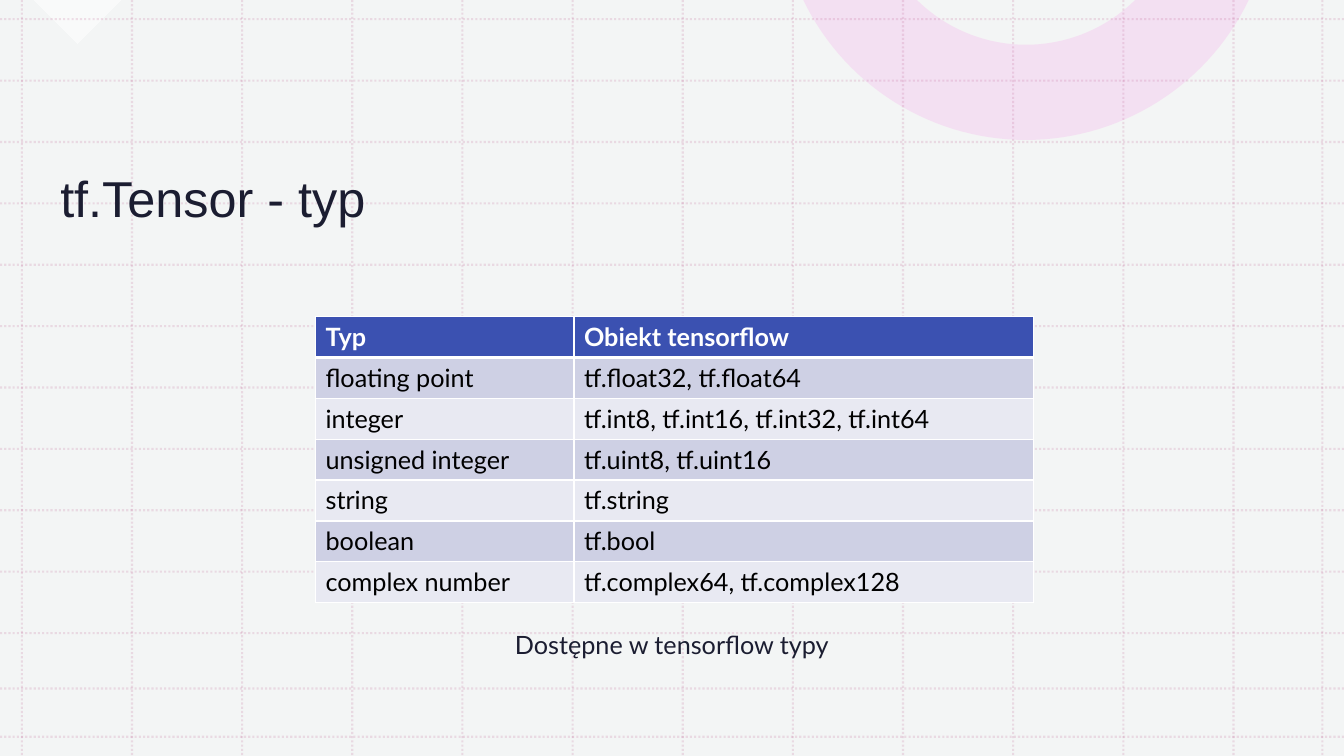
import math

import pptx
import pptx.dml.color
import pptx.enum.dml
import pptx.enum.shapes
import pptx.enum.text
import pptx.oxml
import pptx.oxml.ns
import pptx.util

Pt = pptx.util.Pt
RGB = pptx.dml.color.RGBColor
qn = pptx.oxml.ns.qn

SLIDE_WIDTH, SLIDE_HEIGHT = 960, 540
PAPER = RGB(0xF3, 0xF5, 0xF5)
WHITE = RGB(0xFF, 0xFF, 0xFF)
BLACK = RGB(0x00, 0x00, 0x00)
INK = RGB(0x1B, 0x1D, 0x31)
GRID_PINK = RGB(0xB1, 0x3B, 0x79)
RING_PINK = RGB(0xF3, 0xDB, 0xF2)
HEADER_BLUE = RGB(0x3B, 0x51, 0xB1)
BANDS = [RGB(0xCE, 0xD0, 0xE4), RGB(0xE8, 0xE9, 0xF2)]

TENSOR_TYPES = [
    ("Typ", "Obiekt tensorflow"),
    ("floating point", "tf.float32, tf.float64"),
    ("integer", "tf.int8, tf.int16, tf.int32, tf.int64"),
    ("unsigned integer", "tf.uint8, tf.uint16"),
    ("string", "tf.string"),
    ("boolean", "tf.bool"),
    ("complex number", "tf.complex64, tf.complex128"),
]


def set_opacity(shape, percent):
    for color in shape.element.spPr.iter(qn("a:srgbClr")):
        alpha = color.makeelement(qn("a:alpha"), {"val": str(percent * 1000)})
        color.append(alpha)


def style_ornament(shape, color, percent):
    shape.shadow.inherit = False
    shape.fill.solid()
    shape.fill.fore_color.rgb = color
    shape.line.fill.background()
    set_opacity(shape, percent)


def add_corner_triangle(slide, left, top, size):
    triangle = slide.shapes.add_shape(
        pptx.enum.shapes.MSO_SHAPE.RIGHT_TRIANGLE, Pt(left), Pt(top), Pt(size), Pt(size))
    triangle.rotation = 315
    style_ornament(triangle, WHITE, 50)


def arc_points(center_x, top, width, depth, steps=60):
    """Points of the arc hanging below a horizontal chord, from left to right."""
    radius = (width ** 2 / 4 + depth ** 2) / (2 * depth)
    center_y = top + depth - radius
    half_angle = math.asin(width / 2 / radius)
    angles = [half_angle * (2 * step / steps - 1) for step in range(steps + 1)]
    return [(Pt(center_x + radius * math.sin(angle)), Pt(center_y + radius * math.cos(angle)))
            for angle in angles]


def add_cut_ring(slide, left, top, width, depth):
    """Lower part of a ring that the slide's top edge cuts off."""
    center_x = left + width / 2
    outer = arc_points(center_x, top, width, depth)
    inner = arc_points(center_x, top, width * 0.49, depth * 0.32)
    outline = outer + inner[::-1]
    builder = slide.shapes.build_freeform(*outline[0], scale=1.0)
    builder.add_line_segments(outline[1:], close=True)
    style_ornament(builder.convert_to_shape(), RING_PINK, 80)


def add_grid(slide, left, top, width, height):
    columns = [left + 15.6 + 78.68 * i for i in range(12)] + [left + 944.6]
    rows = [top + 13.7 + 43.85 * i for i in range(11)] + [top + 491.8, top + 526.3]
    ends = [(x, top, x, top + height) for x in columns]
    ends += [(left, y, left + width, y) for y in rows]
    for line_ends in ends:
        grid_line = slide.shapes.add_connector(
            pptx.enum.shapes.MSO_CONNECTOR.STRAIGHT, *map(Pt, line_ends))
        grid_line.line.color.rgb = GRID_PINK
        grid_line.line.width = Pt(1.5)
        grid_line.line.dash_style = pptx.enum.dml.MSO_LINE.ROUND_DOT
        set_opacity(grid_line, 15)
        properties = grid_line.element.spPr
        properties.append(properties.makeelement(qn("a:effectLst"), {}))


def style_run(run, font_name, size, color, bold=False):
    run.font.name = font_name
    run.font.size = Pt(size)
    run.font.color.rgb = color
    run.font.bold = bold


def add_text(slide, left, top, width, height, wording, font_name, size):
    """Adds a wrapping text box; returns its frame for further layout."""
    frame = slide.shapes.add_textbox(Pt(left), Pt(top), Pt(width), Pt(height)).text_frame
    frame.word_wrap = True
    frame.text = wording
    style_run(frame.paragraphs[0].runs[0], font_name, size, INK)
    return frame


def add_title(slide, left, top, width, height):
    frame = add_text(slide, left, top, width, height, "tf.Tensor - typ", "Arial", 36)
    frame.vertical_anchor = pptx.enum.text.MSO_ANCHOR.BOTTOM
    frame.paragraphs[0].line_spacing = 0.9


def add_caption(slide, left, top, width, height):
    frame = add_text(slide, left, top, width, height, "Dostępne w tensorflow typy", "Lato", 18)
    caption = frame.paragraphs[0]
    caption.alignment = pptx.enum.text.PP_ALIGN.CENTER
    caption.line_spacing = 1.1
    caption.space_before = Pt(10)


def add_cell_borders(cell, widths):
    """Draws white borders; widths maps side tags to points, in schema order."""
    properties = cell._tc.get_or_add_tcPr()
    for position, (side, width) in enumerate(widths.items()):
        border = pptx.oxml.parse_xml(
            f'<a:{side} {pptx.oxml.ns.nsdecls("a")} w="{Pt(width)}">'
            f'<a:solidFill><a:srgbClr val="{WHITE}"/></a:solidFill></a:{side}>')
        properties.insert(position, border)


def add_type_table(slide, left, top, width, height):
    type_table = slide.shapes.add_table(
        len(TENSOR_TYPES), 2, Pt(left), Pt(top), Pt(width), Pt(height)).table
    for column, share in zip(type_table.columns, (0.36, 0.64)):
        column.width = Pt(width * share)
    for row_index, wordings in enumerate(TENSOR_TYPES):
        is_header = row_index == 0
        type_table.rows[row_index].height = Pt(height / len(TENSOR_TYPES))
        for column_index, wording in enumerate(wordings):
            cell = type_table.cell(row_index, column_index)
            cell.text_frame.text = wording
            style_run(cell.text_frame.paragraphs[0].runs[0], "Lato", 18,
                      WHITE if is_header else BLACK, bold=is_header)
            cell.fill.solid()
            cell.fill.fore_color.rgb = HEADER_BLUE if is_header else BANDS[(row_index - 1) % 2]
            add_cell_borders(cell, {"lnL": 1, "lnR": 1,
                                    "lnT": 3 if row_index == 1 else 1,
                                    "lnB": 3 if is_header else 1})


def main():
    presentation = pptx.Presentation()
    presentation.slide_width = Pt(SLIDE_WIDTH)
    presentation.slide_height = Pt(SLIDE_HEIGHT)
    slide = presentation.slides.add_slide(presentation.slide_layouts[6])
    slide.background.fill.solid()
    slide.background.fill.fore_color.rgb = PAPER
    add_corner_triangle(slide, 33.1, -22.3, 44.6)
    add_cut_ring(slide, 573.8, 0, 318.2, 100)
    add_grid(slide, 0, 0, SLIDE_WIDTH, SLIDE_HEIGHT)
    add_title(slide, 36, 57.6, 846.7, 109.4)
    add_caption(slide, 69.1, 443.5, 821.5, 46.8)
    add_type_table(slide, 225.4, 226.1, 512.8, 204.5)
    presentation.save("out.pptx")


if __name__ == "__main__":
    main()
